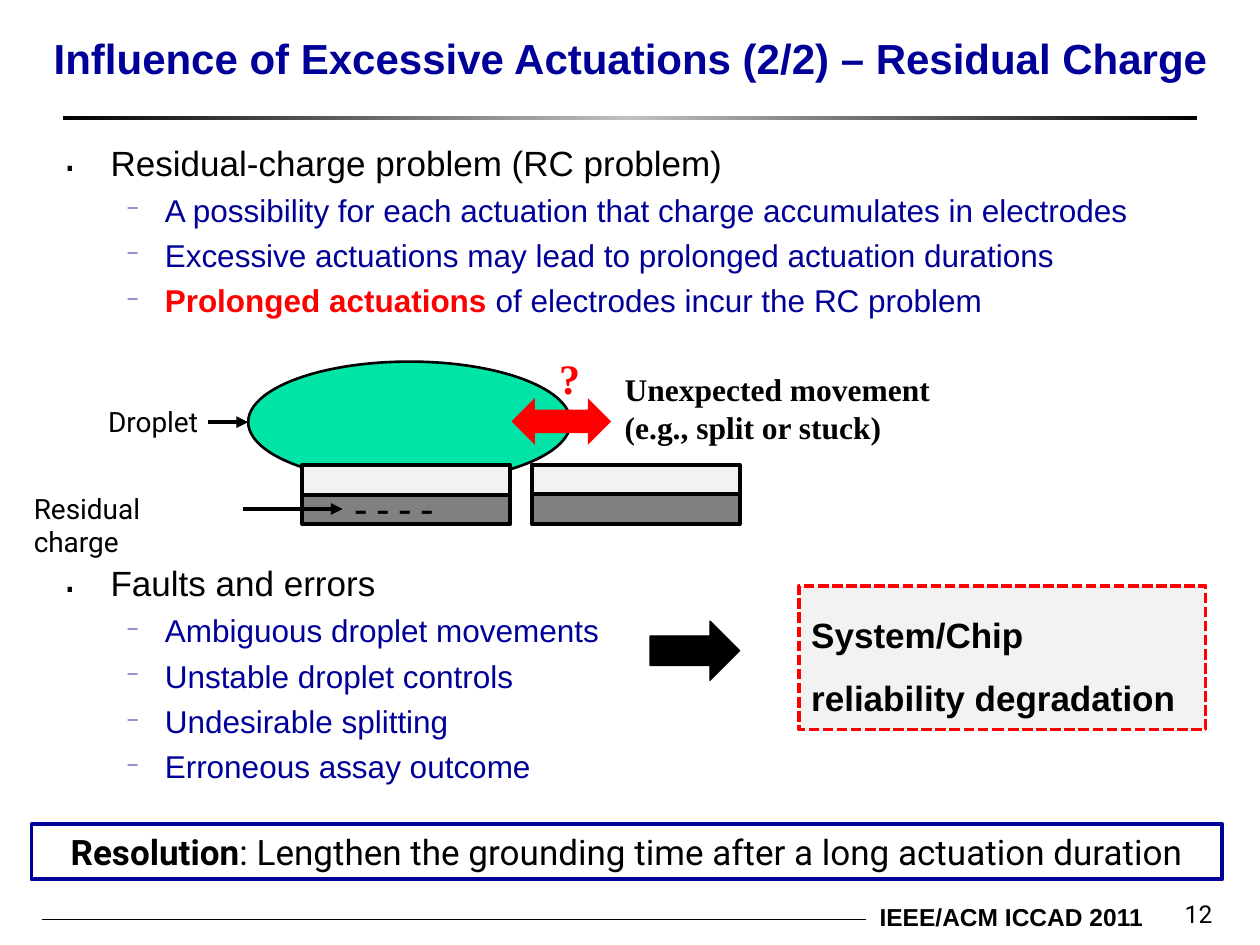
from copy import deepcopy
from dataclasses import dataclass

from lxml import etree
from pptx import Presentation
from pptx.dml.color import RGBColor
from pptx.enum import dml, shapes, text
from pptx.oxml import ns
from pptx.util import Inches, Pt


@dataclass(frozen=True)
class Theme:
    black: str = "000000"
    silver: str = "C0C0C0"
    navy: str = "000099"
    red: str = "FF0000"
    droplet: str = "00E4A8"
    pale: str = "F2F2F2"
    gray: str = "808080"
    heading: int = 24
    body: int = 20
    detail: int = 18
    label: int = 16
    footer: int = 14
    sans: str = "Arial"
    ui: str = "Roboto"
    serif: str = "Times New Roman"


THEME = Theme()
SHAPE = shapes.MSO_SHAPE
ALIGN = text.PP_ALIGN
ANCHOR = text.MSO_ANCHOR


def rgb(value):
    return RGBColor.from_string(value)


def box(at):
    return [Inches(length) for length in at]


def style(font, size, face, color, bold=None):
    font.size, font.name, font.bold = Pt(size), face, bold
    font.color.rgb = rgb(color)


def write(frame, lines, size, face, color=THEME.black, bold=None,
          align=ALIGN.LEFT, anchor=ANCHOR.TOP, wrap=True, spacing=None):
    frame.word_wrap = wrap
    frame.vertical_anchor = anchor
    for index, line in enumerate(lines):
        paragraph = frame.paragraphs[0] if index == 0 else frame.add_paragraph()
        paragraph.alignment = align
        paragraph.line_spacing = spacing
        style(paragraph.font, size, face, color, bold)
        paragraph.add_run().text = line


def add_text(slide, at, lines, size, face, **options):
    frame = slide.shapes.add_textbox(*box(at)).text_frame
    write(frame, lines, size, face, **options)
    return frame


def add_block(slide, kind, at, fill=None, line=None, width=2.25):
    block = slide.shapes.add_shape(kind, *box(at))
    block.shadow.inherit = False
    if fill:
        block.fill.solid()
        block.fill.fore_color.rgb = rgb(fill)
    else:
        block.fill.background()
    if line:
        block.line.color.rgb = rgb(line)
        block.line.width = Pt(width)
    else:
        block.line.fill.background()
    return block


def add_line(slide, start, end, width, arrow=False):
    line = slide.shapes.add_connector(
        shapes.MSO_CONNECTOR.STRAIGHT, *box(start), *box(end))
    line.line.color.rgb = rgb(THEME.black)
    line.line.width = Pt(width)
    if arrow:
        etree.SubElement(line.line._get_or_add_ln(), ns.qn("a:tailEnd"), type="triangle")
    etree.SubElement(line._element.spPr, ns.qn("a:effectLst"))


def add_rule(slide, at):
    rule = add_block(slide, SHAPE.RECTANGLE, at)
    rule.fill.gradient()
    rule.fill.gradient_angle = 0
    stops = rule._element.spPr.find(".//" + ns.qn("a:gsLst"))
    stops.append(deepcopy(stops[-1]))
    colors = (THEME.black, THEME.silver, THEME.black)
    for stop, color, position in zip(rule.fill.gradient_stops, colors, (0, 0.5, 1)):
        stop.color.rgb = rgb(color)
        stop.position = position


def add_bullet(paragraph, char, color, percent, margin, hanging):
    properties = paragraph._p.get_or_add_pPr()
    properties.set("marL", str(Inches(margin)))
    properties.set("indent", str(-Inches(hanging)))
    tint = etree.SubElement(properties, ns.qn("a:buClr"))
    etree.SubElement(tint, ns.qn("a:srgbClr"), val=color)
    etree.SubElement(properties, ns.qn("a:buSzPct"), val=str(percent * 1000))
    etree.SubElement(properties, ns.qn("a:buChar"), char=char)


def add_topic(slide, at, heading, details):
    frame = add_text(slide, at, [heading, *details], THEME.body, THEME.sans,
                     align=ALIGN.JUSTIFY)
    for paragraph in frame.paragraphs:
        paragraph.space_before = Pt(4.3)
    topic, *points = frame.paragraphs
    add_bullet(topic, "․", THEME.black, 120, 0.38, 0.38)
    for point in points:
        style(point.font, THEME.detail, THEME.sans, THEME.navy)
        add_bullet(point, "─", THEME.navy, 55, 0.81, 0.31)
    return points


def add_frame(slide):
    add_rule(slide, (0.5, 0.92, 9, 0.03))
    add_line(slide, (0.33, 7.3), (6.87, 7.3), 0.5)
    add_text(slide, (4.92, 7.11, 4.25, 0.34), ["IEEE/ACM ICCAD 2011"],
             THEME.footer, THEME.sans, bold=True, align=ALIGN.RIGHT)
    add_text(slide, (7.64, 6.92, 2.08, 0.5), ["12"], THEME.footer, THEME.ui,
             align=ALIGN.RIGHT, anchor=ANCHOR.BOTTOM)
    add_text(slide, (0.2, 0, 9.61, 0.92),
             ["Influence of Excessive Actuations (2/2) – Residual Charge"],
             THEME.heading, THEME.sans, color=THEME.navy, bold=True,
             align=ALIGN.CENTER, anchor=ANCHOR.MIDDLE)


def add_topics(slide):
    *_, prolonged = add_topic(
        slide, (0.4, 1.07, 9.14, 1.6), "Residual-charge problem (RC problem)",
        ["A possibility for each actuation that charge accumulates in electrodes",
         "Excessive actuations may lead to prolonged actuation durations",
         "Prolonged actuations "])
    emphasis = prolonged.runs[0].font
    emphasis.bold = True
    emphasis.color.rgb = rgb(THEME.red)
    prolonged.add_run().text = "of electrodes incur the RC problem"
    add_topic(slide, (0.4, 4.41, 4.7, 1.9), "Faults and errors",
              ["Ambiguous droplet movements", "Unstable droplet controls",
               "Undesirable splitting", "Erroneous assay outcome"])


def add_conclusions(slide):
    add_block(slide, SHAPE.RIGHT_ARROW, (5.16, 4.93, 0.71, 0.47),
              THEME.black, THEME.black, 0.75)
    degradation = add_block(slide, SHAPE.RECTANGLE, (6.34, 4.65, 3.23, 1.14),
                            THEME.pale, THEME.red, 2)
    degradation.line.dash_style = dml.MSO_LINE.SQUARE_DOT
    write(degradation.text_frame, ["System/Chip", "reliability degradation"],
          THEME.body, THEME.sans, bold=True, wrap=False, spacing=1.5)
    resolution = add_block(slide, SHAPE.RECTANGLE, (0.25, 6.54, 9.45, 0.44),
                           line=THEME.navy)
    write(resolution.text_frame, ["Resolution"], THEME.body, THEME.ui, align=ALIGN.CENTER)
    statement = resolution.text_frame.paragraphs[0]
    statement.runs[0].font.bold = True
    statement.add_run().text = ": Lengthen the grounding time after a long actuation duration"


def add_plate(slide, left, top, fill):
    add_block(slide, SHAPE.RECTANGLE, (left, top, 1.65, 0.24), fill, THEME.black)


def add_diagram(slide):
    near, far, upper, lower = 2.4, 4.22, 3.69, 3.92
    add_plate(slide, near, lower, THEME.gray)
    add_plate(slide, far, upper, THEME.pale)
    add_plate(slide, far, lower, THEME.gray)
    add_block(slide, SHAPE.OVAL, (1.97, 2.87, 2.56, 0.96), THEME.droplet, THEME.black, 1.5)
    add_plate(slide, near, upper, THEME.pale)
    add_line(slide, (1.65, 3.35), (1.97, 3.35), 2.25, arrow=True)
    add_line(slide, (1.93, 4.04), (2.72, 4.04), 2.25, arrow=True)
    add_block(slide, SHAPE.LEFT_RIGHT_ARROW, (4.06, 3.16, 0.79, 0.37), THEME.red)
    add_text(slide, (0.76, 3.16, 0.92, 0.37), ["Droplet"], THEME.label, THEME.ui, wrap=False)
    add_text(slide, (0.17, 3.85, 1.6, 0.62), ["Residual charge"], THEME.label, THEME.ui)
    add_text(slide, (2.72, 3.79, 1.01, 0.5), ["- - - -"], THEME.heading, THEME.ui, wrap=False)
    add_text(slide, (4.34, 2.75, 0.37, 0.5), ["?"], THEME.heading, THEME.serif,
             color=THEME.red, bold=True, wrap=False)
    add_text(slide, (4.86, 2.89, 2.65, 0.71),
             ["Unexpected movement", "(e.g., split or stuck)"],
             THEME.detail, THEME.serif, bold=True, wrap=False)


def main():
    deck = Presentation()
    deck.slide_width, deck.slide_height = Inches(10), Inches(7.5)
    slide = deck.slides.add_slide(deck.slide_layouts[6])
    add_frame(slide)
    add_topics(slide)
    add_conclusions(slide)
    add_diagram(slide)
    deck.save("out.pptx")


if __name__ == "__main__":
    main()
